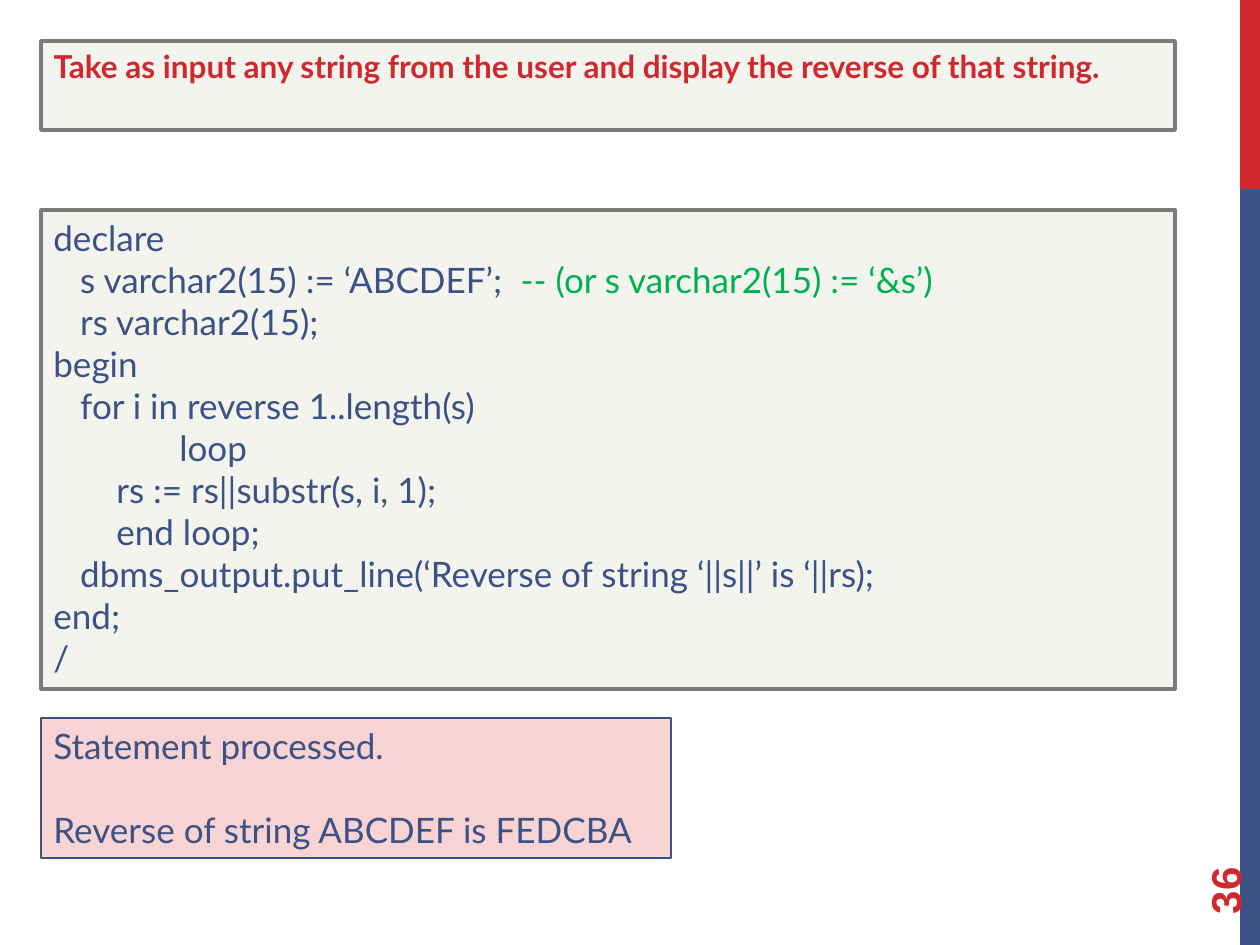
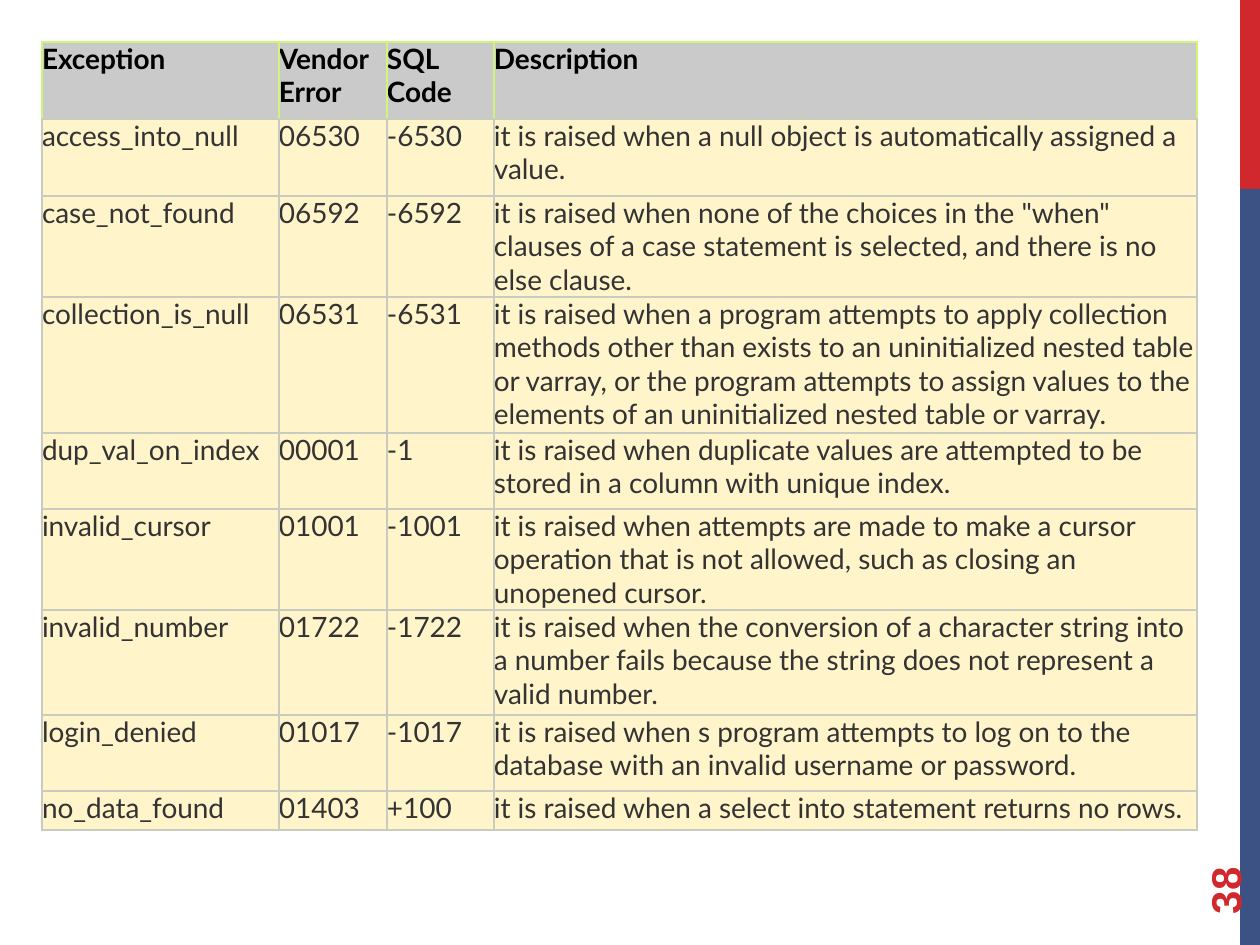
"""Build two PL/SQL slides: a string-reversal program and a table of predefined exceptions."""
from dataclasses import dataclass

from lxml.etree import SubElement
from pptx import Presentation
from pptx.dml.color import RGBColor
from pptx.enum.shapes import MSO_SHAPE
from pptx.enum.text import MSO_ANCHOR, MSO_AUTO_SIZE, PP_ALIGN
from pptx.oxml.ns import qn
from pptx.util import Pt

EMU_PER_PX = 914400 / 126


@dataclass(frozen=True)
class Theme:
    red: RGBColor = RGBColor.from_string("D1282E")
    blue: RGBColor = RGBColor.from_string("3C5184")
    green: RGBColor = RGBColor.from_string("00B050")
    panel: RGBColor = RGBColor.from_string("F4F4EF")
    panel_edge: RGBColor = RGBColor.from_string("7A7A7A")
    output: RGBColor = RGBColor.from_string("F7D3D4")
    header: RGBColor = RGBColor.from_string("CACACA")
    header_text: RGBColor = RGBColor.from_string("000000")
    row: RGBColor = RGBColor.from_string("FFF4CA")
    row_text: RGBColor = RGBColor.from_string("333333")
    header_edge: str = "D0F57D"
    row_edge: str = "C7CCBE"
    font: str = "Lato"
    number_font: str = "Arial"
    title_size: int = 18
    code_size: int = 20
    table_size: int = 16
    number_size: int = 24


theme = Theme()


def px(*lengths):
    return [round(length * EMU_PER_PX) for length in lengths]


def write(frame, text, size, color, bold=False, font=theme.font):
    frame.text = text
    for paragraph in frame.paragraphs:
        paragraph.alignment = PP_ALIGN.LEFT
        for run in paragraph.runs:
            run.font.name = font
            run.font.size = Pt(size)
            run.font.bold = bold
            run.font.color.rgb = color


deck = Presentation()
deck.slide_width, deck.slide_height = px(1260, 945)
TITLE_ONLY, BLANK = 5, 6
reverse_slide = deck.slides.add_slide(deck.slide_layouts[TITLE_ONLY])
exception_slide = deck.slides.add_slide(deck.slide_layouts[BLANK])

for slide, number in ((reverse_slide, "36"), (exception_slide, "38")):
    for top, height, color in ((0, 189, theme.red), (189, 756, theme.blue)):
        band = slide.shapes.add_shape(MSO_SHAPE.RECTANGLE, *px(1240, top, 20, height))
        band.shadow.inherit = False
        band.fill.solid()
        band.fill.fore_color.rgb = color
        band.line.fill.background()
    page_number = slide.shapes.add_textbox(*px(1134, 811, 181, 50))
    page_number.rotation = 270
    page_number.text_frame.word_wrap = True
    page_number.text_frame.vertical_anchor = MSO_ANCHOR.MIDDLE
    write(page_number.text_frame, number, theme.number_size, theme.red, True, theme.number_font)

task = reverse_slide.shapes.title
task.left, task.top, task.width, task.height = px(41, 41, 1134, 89)
program = reverse_slide.shapes.add_shape(MSO_SHAPE.RECTANGLE, *px(41, 210, 1134, 479))
output = reverse_slide.shapes.add_shape(MSO_SHAPE.RECTANGLE, *px(41, 718, 630, 140))
program.shadow.inherit = False
output.shadow.inherit = False

for panel, fill, edge, edge_width in (
    (task, theme.panel, theme.panel_edge, 2),
    (program, theme.panel, theme.panel_edge, 2),
    (output, theme.output, theme.blue, 1.5),
):
    panel.fill.solid()
    panel.fill.fore_color.rgb = fill
    panel.line.color.rgb = edge
    panel.line.width = Pt(edge_width)
    panel.text_frame.word_wrap = True
    panel.text_frame.auto_size = MSO_AUTO_SIZE.NONE
    panel.text_frame.vertical_anchor = MSO_ANCHOR.TOP

write(
    task.text_frame,
    "Take as input any string from the user and display the reverse of that string.",
    theme.title_size, theme.red, True,
)

code = """declare
   s varchar2(15) := ‘ABCDEF’;  
   rs varchar2(15);
begin
   for i in reverse 1..length(s)
        \tloop
\trs := rs||substr(s, i, 1);
\tend loop;
   dbms_output.put_line(‘Reverse of string ‘||s||’ is ‘||rs);
end;
/"""
write(program.text_frame, code, theme.code_size, theme.blue)
code_comment = program.text_frame.paragraphs[1].add_run()
code_comment.text = "-- (or s varchar2(15) := ‘&s’)"
code_comment.font.name = theme.font
code_comment.font.size = Pt(theme.code_size)
code_comment.font.color.rgb = theme.green

write(
    output.text_frame,
    "Statement processed.\nReverse of string ABCDEF is FEDCBA",
    theme.code_size, theme.blue,
)
output.text_frame.paragraphs[1].space_before = Pt(24)

exceptions = [
    ("Exception", "Vendor Error", "SQL Code", "Description"),
    ("access_into_null", "06530", "-6530",
     "it is raised when a null object is automatically assigned a value."),
    ("case_not_found", "06592", "-6592",
     'it is raised when none of the choices in the "when" clauses of a case statement '
     "is selected, and there is no else clause."),
    ("collection_is_null", "06531", "-6531",
     "it is raised when a program attempts to apply collection methods other than exists "
     "to an uninitialized nested table or varray, or the program attempts to assign values "
     "to the elements of an uninitialized nested table or varray."),
    ("dup_val_on_index", "00001", "-1",
     "it is raised when duplicate values are attempted to be stored in a column "
     "with unique index."),
    ("invalid_cursor", "01001", "-1001",
     "it is raised when attempts are made to make a cursor operation that is not allowed, "
     "such as closing an unopened cursor."),
    ("invalid_number", "01722", "-1722",
     "it is raised when the conversion of a character string into a number fails because "
     "the string does not represent a valid number."),
    ("login_denied", "01017", "-1017",
     "it is raised when s program attempts to log on to the database with an invalid "
     "username or password."),
    ("no_data_found", "01403", "+100",
     "it is raised when a select into statement returns no rows."),
]
column_widths = px(237, 108, 107, 703)
row_heights = px(77, 77, 101, 136, 76, 101, 105, 76, 39)

exception_table = exception_slide.shapes.add_table(
    len(exceptions), len(column_widths), *px(42, 42), sum(column_widths), sum(row_heights)
).table
exception_table.horz_banding = False
for column, width in zip(exception_table.columns, column_widths):
    column.width = width

for index, (row, height, entries) in enumerate(
    zip(exception_table.rows, row_heights, exceptions)
):
    row.height = height
    is_header = index == 0
    for cell, entry in zip(row.cells, entries):
        cell.margin_left = cell.margin_right = cell.margin_top = cell.margin_bottom = 0
        cell.vertical_anchor = MSO_ANCHOR.TOP
        properties = cell._tc.get_or_add_tcPr()
        for side in ("lnL", "lnR", "lnT", "lnB"):
            bright = is_header and side != "lnB"
            border = SubElement(properties, qn(f"a:{side}"), w=str(Pt(1)))
            SubElement(
                SubElement(border, qn("a:solidFill")), qn("a:srgbClr"),
                val=theme.header_edge if bright else theme.row_edge,
            )
        cell.fill.solid()
        cell.fill.fore_color.rgb = theme.header if is_header else theme.row
        text_color = theme.header_text if is_header else theme.row_text
        write(cell.text_frame, entry, theme.table_size, text_color, is_header)

deck.save("out.pptx")
